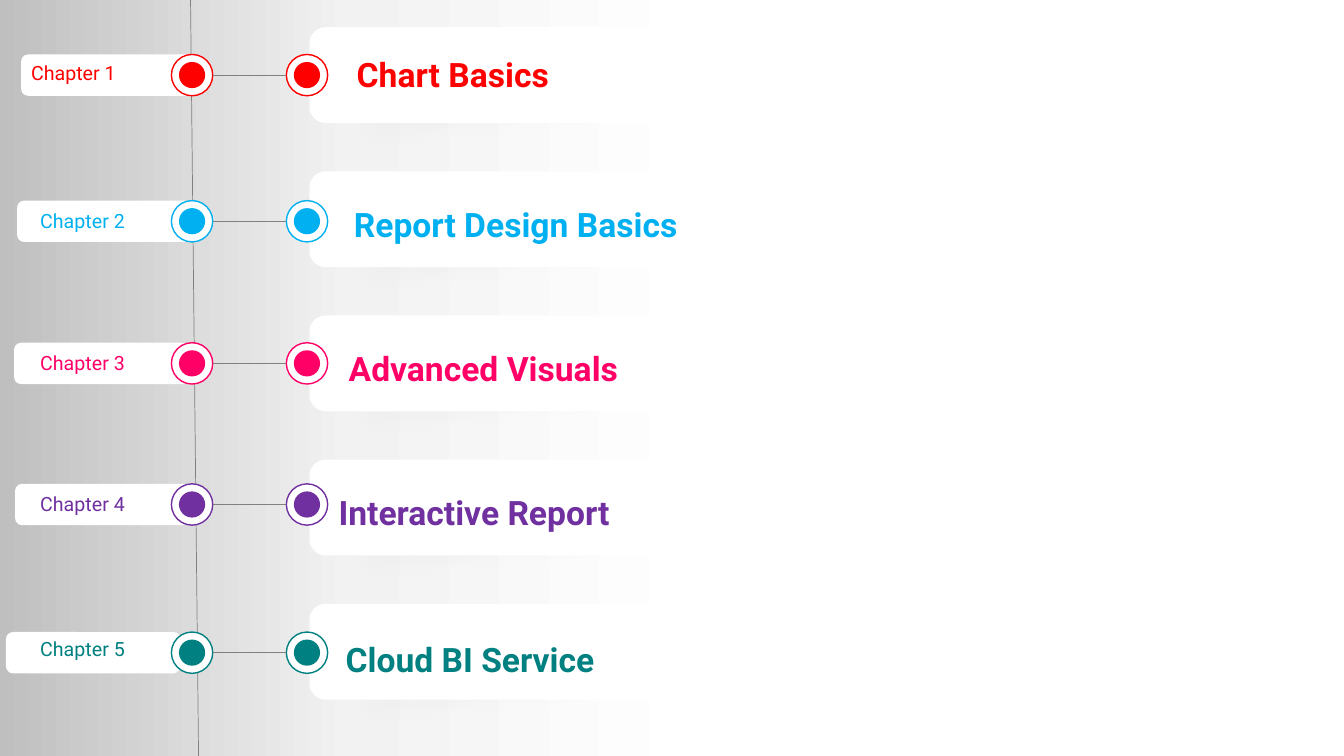
from pptx import Presentation
from pptx.dml.color import RGBColor
from pptx.enum import shapes, text
from pptx.oxml.ns import qn
from pptx.util import Inches, Pt
from lxml import etree

WHITE = RGBColor(0xFF, 0xFF, 0xFF)
BLACK = RGBColor(0, 0, 0)
GREY = RGBColor(0x80, 0x80, 0x80)
RED = RGBColor(0xFF, 0, 0)
BLUE = RGBColor(0, 0xB0, 0xF0)
PINK = RGBColor(0xFF, 0, 0x66)
PURPLE = RGBColor(0x70, 0x30, 0xA0)
TEAL = RGBColor(0, 0x80, 0x80)
FONT = "Roboto"
BACKGROUND = [(48, "FFFFFF"), (74, "F2F2F2"), (100, "BFBFBF")]

# chapter, title, colour, ring top, tab left, chapter (left, top), title (left, top)
CHAPTERS = [
    ("Chapter 1", "Chart Basics", RED, 0.54, 0.21, (0.21, 0.56), (3.44, 0.49)),
    ("Chapter 2", " Report Design Basics", BLUE, 1.99, 0.17, (0.3, 2.02), (3.33, 1.97)),
    ("Chapter 3", "Advanced Visuals", PINK, 3.4, 0.14, (0.3, 3.43), (3.36, 3.4)),
    ("Chapter 4", "Interactive Report", PURPLE, 4.8, 0.15, (0.3, 4.83), (3.26, 4.83)),
    ("Chapter 5", "Cloud BI Service", TEAL, 6.27, 0.06, (0.3, 6.27), (3.33, 6.29)),
]
CARD_TOP, CARD_PITCH = 0.27, 1.43
RING, DOT = 0.41, 0.26
RING_LEFT, RING_RIGHT = 1.7, 2.84
TILT = 353.8
SOFT_EDGE = 0.35


def add_shape(parent, kind, left, top, width, height, fill, line=None):
    sp = parent.shapes.add_shape(kind, *map(Inches, (left, top, width, height)))
    sp.shadow.inherit = False
    sp.fill.solid()
    sp.fill.fore_color.rgb = fill
    if line is None:
        sp.line.fill.background()
    else:
        sp.line.color.rgb = line
        sp.line.width = Pt(1)
    return sp


def add_soft_shadow(left, top, width, height):
    sp = add_shape(s, shapes.MSO_SHAPE.RECTANGLE, left, top, width, height, BLACK)
    sp.rotation = TILT
    props = sp._element.spPr
    color = props.find(qn("a:solidFill"))[0]
    etree.SubElement(color, qn("a:alpha"), val="40000")
    effects = props.find(qn("a:effectLst"))
    etree.SubElement(effects, qn("a:softEdge"), rad=str(Inches(SOFT_EDGE)))


def add_marker(parent, left, top, color):
    inset = (RING - DOT) / 2
    oval = shapes.MSO_SHAPE.OVAL
    add_shape(parent, oval, left, top, RING, RING, WHITE, color)
    add_shape(parent, oval, left + inset, top + inset, DOT, DOT, color)


def add_text(parent, words, left, top, width, height, size, color, bold=False):
    sp = parent.shapes.add_textbox(*map(Inches, (left, top, width, height)))
    tf = sp.text_frame
    tf.word_wrap = True
    tf.auto_size = text.MSO_AUTO_SIZE.SHAPE_TO_FIT_TEXT
    r = tf.paragraphs[0].add_run()
    r.text = words
    r.font.name = FONT
    r.font.size = Pt(size)
    r.font.bold = bold
    r.font.color.rgb = color


def add_line(x1, y1, x2, y2):
    line = s.shapes.add_connector(shapes.MSO_CONNECTOR.STRAIGHT,
                                  *map(Inches, (x1, y1, x2, y2)))
    line.line.color.rgb = GREY
    line.line.width = Pt(0.5)
    etree.SubElement(line._element.spPr, qn("a:effectLst"))


prs = Presentation()
prs.slide_width, prs.slide_height = Inches(13.33), Inches(7.5)
s = prs.slides.add_slide(prs.slide_layouts[6])

# Background gradient, darkening to the left
fill = s.background.fill
fill.gradient()
fill.gradient_angle = 180
stops = s._element.find(".//" + qn("a:gsLst"))
for stop in list(stops):
    stops.remove(stop)
for position, color in BACKGROUND:
    stop = etree.SubElement(stops, qn("a:gs"), pos=str(position * 1000))
    etree.SubElement(stop, qn("a:srgbClr"), val=color)

# Timeline and the tilted shadows behind tabs and cards
add_line(1.89, 0, 1.97, 7.54)
for i, (_, _, _, ring_top, tab_left, _, _) in enumerate(CHAPTERS):
    add_soft_shadow(tab_left - 0.21, ring_top + 0.12, 1.64, 0.59)
    add_soft_shadow(2.92, CARD_TOP + 0.4 + i * CARD_PITCH, 3.84, 0.95)

# Title cards
rounded = shapes.MSO_SHAPE.ROUNDED_RECTANGLE
for i, (_, title, color, ring_top, _, _, title_at) in enumerate(CHAPTERS):
    card = s.shapes.add_group_shape()
    add_shape(card, rounded, 3.07, CARD_TOP + i * CARD_PITCH, 5.02, 0.95, WHITE)
    add_text(card, title, *title_at, 5.2, 0.5, 24, color, bold=True)
    add_marker(card, RING_RIGHT, ring_top, color)

# Chapter tabs, each linked to its card
for chapter, _, color, ring_top, tab_left, chapter_at, _ in CHAPTERS:
    tab = s.shapes.add_group_shape()
    add_shape(tab, rounded, tab_left, ring_top, 1.73, RING, WHITE)
    add_marker(tab, RING_LEFT, ring_top, color)
    add_text(tab, chapter, *chapter_at, 1.2, 0.34, 14, color)
    middle = ring_top + RING / 2
    add_line(RING_LEFT + RING, middle, RING_RIGHT, middle)

prs.save("out.pptx")
